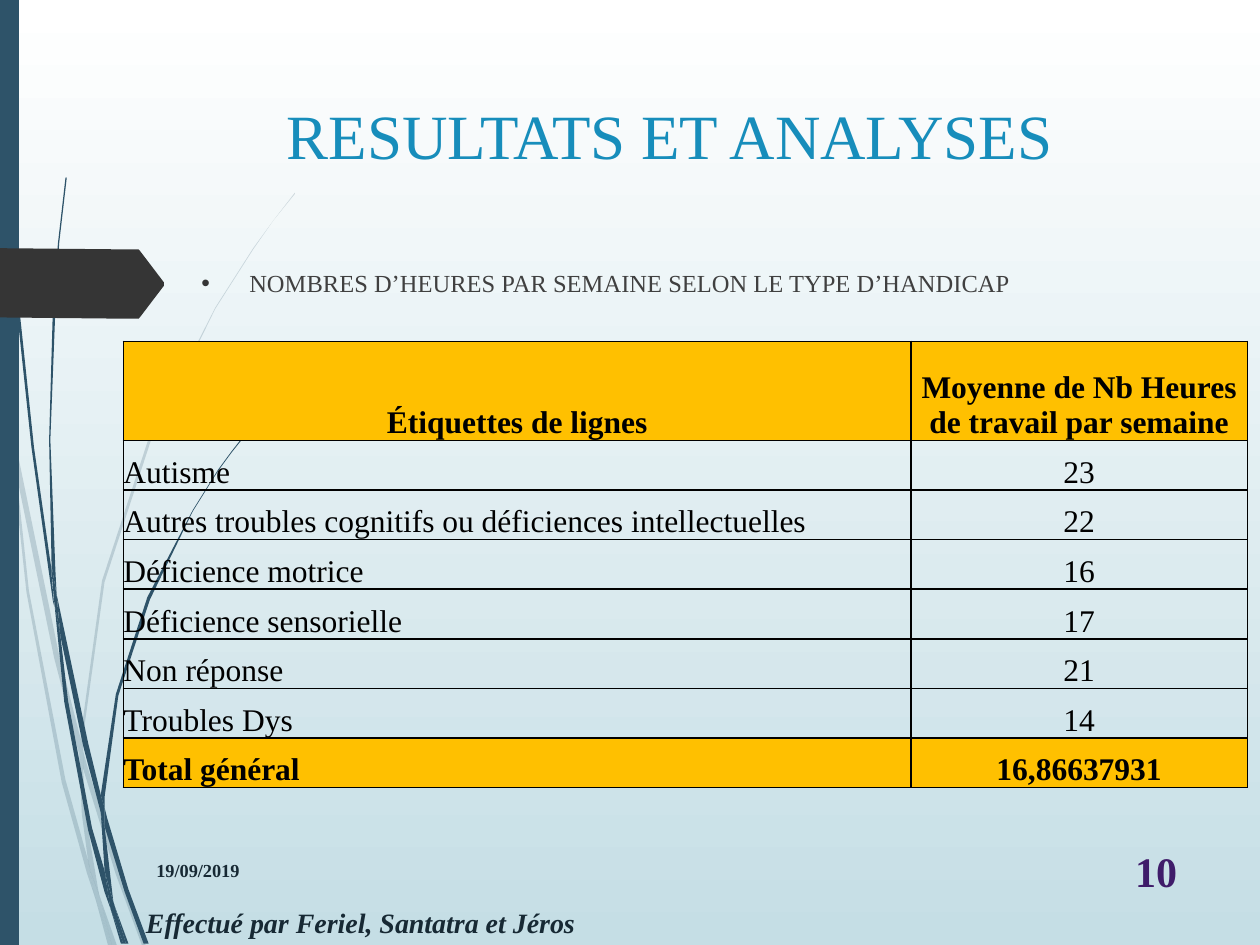
import lxml.etree
import pptx
import pptx.dml.color
import pptx.enum.shapes
import pptx.enum.text
import pptx.oxml.ns
import pptx.util

PX = 9144  # EMU in one px: 100 px to the inch
FONT = "Times New Roman"
COLORS = {
    "sky_top": "FFFFFF", "sky_bottom": "C5DEE5", "wisp": "2E5369",
    "arrow": "353535", "title": "178DBB", "body": "404040",
    "number": "3F1C6A", "footer": "172934", "black": "000000",
    "header": "FFC000",
}
ALIGN = pptx.enum.text.PP_ALIGN
ANCHOR = pptx.enum.text.MSO_ANCHOR

# Outlines of the curved blades, in px from the corner of their region
PALE_BLADES = [
    [(8, 350), (6, 322), (0, 282), (0, 299), (8, 344)],
    [(43, 522), (63, 599), (64, 586), (47, 520), (11, 345), (13, 376)],
    [(69, 607), (66, 596), (66, 610), (92, 694), (113, 751), (116, 751), (95, 692)],
    [(89, 751), (93, 751), (79, 711)],
    [(70, 683), (52, 619), (23, 469), (13, 376), (8, 350), (21, 470), (49, 621),
     (69, 693), (76, 714), (74, 707)],
    [(63, 599), (65, 646), (70, 683), (72, 692), (79, 711), (78, 706), (68, 646),
     (66, 610), (66, 608)],
    [(66, 584), (83, 462), (120, 349), (171, 245), (201, 198), (217, 175), (234, 154),
     (234, 153), (217, 175), (201, 197), (171, 244), (118, 348), (81, 461), (64, 584),
     (64, 586), (66, 596)],
    [(76, 714), (86, 751), (89, 751)],
    [(66, 608), (66, 610), (66, 596), (64, 586), (63, 599)],
    [(72, 692), (70, 683), (74, 707), (76, 714), (89, 751), (79, 711)],
]
DARK_BLADES = [
    [(5, 110), (12, 233), (25, 355), (42, 477), (43, 481), (41, 457), (41, 453),
     (27, 355), (14, 232), (6, 109), (3, 48), (3, 0), (2, 0), (3, 48)],
    [(66, 592), (80, 645), (80, 633), (80, 631), (70, 590), (45, 472), (48, 505)],
    [(85, 649), (83, 641), (83, 656), (99, 708), (114, 749), (118, 749), (102, 706)],
    [(83, 691), (73, 657), (54, 556), (48, 505), (43, 477), (51, 557), (70, 659),
     (83, 708), (88, 722), (87, 717)],
    [(45, 472), (44, 453), (40, 349), (44, 245), (47, 193), (53, 141), (52, 141),
     (46, 193), (42, 245), (39, 349), (41, 449)],
    [(100, 749), (102, 749), (91, 719)],
    [(43, 477), (48, 505), (45, 472), (41, 449), (41, 453)],
    [(83, 633), (94, 552), (119, 476), (153, 406), (173, 374), (184, 359), (196, 344),
     (195, 344), (184, 358), (173, 373), (153, 405), (117, 474), (92, 551), (80, 631),
     (83, 641)],
    [(88, 722), (96, 749), (98, 749)],
    [(80, 645), (83, 691), (87, 706), (91, 719), (90, 716), (83, 656), (81, 651)],
    [(80, 645), (81, 651), (83, 656), (83, 641), (80, 631), (80, 633)],
    [(87, 706), (83, 691), (87, 717), (88, 722), (98, 749), (100, 749), (91, 719)],
]
ARROW = [(0, 0), (102, 1), (110, 1), (111, 2), (130, 27), (130, 30), (111, 55),
         (110, 56), (102, 56), (0, 55)]
ROWS = [
    ("Étiquettes de lignes", "Moyenne de Nb Heures de travail par semaine"),
    ("Autisme", "23"),
    ("Autres troubles cognitifs ou déficiences intellectuelles", "22"),
    ("Déficience motrice", "16"),
    ("Déficience sensorielle", "17"),
    ("Non réponse", "21"),
    ("Troubles Dys", "14"),
    ("Total général", "16,86637931"),
]


def rgb(name):
    return pptx.dml.color.RGBColor.from_string(COLORS[name])


def emu(box):
    return [length * PX for length in box]


def add_child(parent, tag, **attributes):
    child = lxml.etree.SubElement(parent, pptx.oxml.ns.qn(tag))
    for key, value in attributes.items():
        child.set(key, str(value))
    return child


def write_text(frame, text, size, color="black", bold=False, italic=False,
               align=ALIGN.LEFT, anchor=ANCHOR.MIDDLE):
    frame.word_wrap = True
    frame.vertical_anchor = anchor
    paragraph = frame.paragraphs[0]
    paragraph.alignment = align
    run = paragraph.add_run()
    run.text = text
    run.font.name, run.font.size = FONT, pptx.util.Pt(size)
    run.font.bold, run.font.italic = bold, italic
    run.font.color.rgb = rgb(color)
    return paragraph


def add_text(slide, box, text, **text_format):
    frame = slide.shapes.add_textbox(*emu(box)).text_frame
    return write_text(frame, text, **text_format)


def paint(shape, color, opacity=100):
    shape.shadow.inherit = False
    shape.fill.solid()
    shape.fill.fore_color.rgb = rgb(color)
    shape.line.fill.background()
    if opacity < 100:
        color_element = shape.fill._xPr.find(".//" + pptx.oxml.ns.qn("a:srgbClr"))
        add_child(color_element, "a:alpha", val=opacity * 1000)


def add_outline(slide, left, top, points, color, opacity=100):
    builder = slide.shapes.build_freeform(*points[0], scale=PX)
    builder.add_line_segments(points[1:], close=True)
    paint(builder.convert_to_shape(left * PX, top * PX), color, opacity)


def add_backdrop(slide, left, top, width, height):
    # Sky gradient, running downwards
    fill = slide.background.fill
    fill.gradient()
    fill.gradient_angle = 270
    for stop, position, color in zip(fill.gradient_stops, (0, 1), ("sky_top", "sky_bottom")):
        stop.position = position
        stop.color.rgb = rgb(color)
    # Blades, side band and arrow tab
    for blades, opacity in ((PALE_BLADES, 20), (DARK_BLADES, 100)):
        for points in blades:
            add_outline(slide, left, top, points, "wisp", opacity)
    band = slide.shapes.add_shape(pptx.enum.shapes.MSO_SHAPE.RECTANGLE,
                                  *emu((left, top, 15, height)))
    paint(band, "wisp")
    add_outline(slide, left, top + 197, ARROW, "arrow")


def add_heading(slide, left, top, width, height):
    add_text(slide, (left + 16, top, width - 16, 140), "RESULTATS ET ANALYSES",
             size=36, color="title", align=ALIGN.CENTER)
    paragraph = add_text(slide, (left, top + 171, width - 16, height - 171),
                         "NOMBRES D’HEURES PAR SEMAINE SELON LE TYPE D’HANDICAP",
                         size=14, color="body", anchor=ANCHOR.TOP)
    paragraph.space_before = pptx.util.Pt(10)
    # Bullet with a hanging indent
    properties = paragraph._p.get_or_add_pPr()
    properties.set("marL", str(38 * PX))
    properties.set("indent", str(-38 * PX))
    bullet_color = add_child(properties, "a:buClr")
    add_child(bullet_color, "a:srgbClr", val=COLORS["arrow"])
    add_child(properties, "a:buFont", typeface="Arial")
    add_child(properties, "a:buChar", char="•")


def add_borders(cell):
    properties = cell._tc.get_or_add_tcPr()
    for index, side in enumerate(("a:lnL", "a:lnR", "a:lnT", "a:lnB")):
        line = lxml.etree.Element(pptx.oxml.ns.qn(side), w="12700")
        fill = add_child(line, "a:solidFill")
        add_child(fill, "a:srgbClr", val=COLORS["black"])
        properties.insert(index, line)


def add_hours_table(slide, left, top, width, height):
    table = slide.shapes.add_table(len(ROWS), 2, *emu((left, top, width, height))).table
    table.first_row = table.horz_banding = False
    for column, column_width in zip(table.columns, (625, width - 625)):
        column.width = column_width * PX
    # The header is as tall as two rows
    row_height = height * PX // (len(ROWS) + 1)
    for row_index, texts in enumerate(ROWS):
        is_header = row_index == 0
        is_strong = is_header or row_index == len(ROWS) - 1
        table.rows[row_index].height = row_height * (2 if is_header else 1)
        for column_index, text in enumerate(texts):
            cell = table.cell(row_index, column_index)
            cell.margin_left = cell.margin_right = cell.margin_top = cell.margin_bottom = 0
            cell.vertical_anchor = ANCHOR.BOTTOM
            is_centred = is_header or column_index == 1
            write_text(cell.text_frame, text, size=18, bold=is_strong, anchor=ANCHOR.BOTTOM,
                       align=ALIGN.CENTER if is_centred else ALIGN.LEFT)
            if is_strong:
                cell.fill.solid()
                cell.fill.fore_color.rgb = rgb("header")
            else:
                cell.fill.background()
            add_borders(cell)


def add_footer(slide, left, top, width, height):
    add_text(slide, (left + width - 94, top + 1, 94, 40), "10", size=24,
             color="number", bold=True, align=ALIGN.RIGHT)
    add_text(slide, (left, top + height - 40, 625, 40),
             "Effectué par Feriel, Santatra et Jéros",
             size=16, color="footer", bold=True, italic=True)
    add_text(slide, (left, top, 94, 41), "19/09/2019", size=10.5,
             color="footer", bold=True, align=ALIGN.RIGHT)


def main():
    presentation = pptx.Presentation()
    presentation.slide_width, presentation.slide_height = emu((1000, 750))
    slide = presentation.slides.add_slide(presentation.slide_layouts[6])
    add_backdrop(slide, 0, 0, 1000, 750)
    add_heading(slide, 150, 37, 747, 584)
    add_hours_table(slide, 98, 271, 892, 354)
    add_footer(slide, 106, 670, 838, 82)
    presentation.save("out.pptx")


if __name__ == "__main__":
    main()
